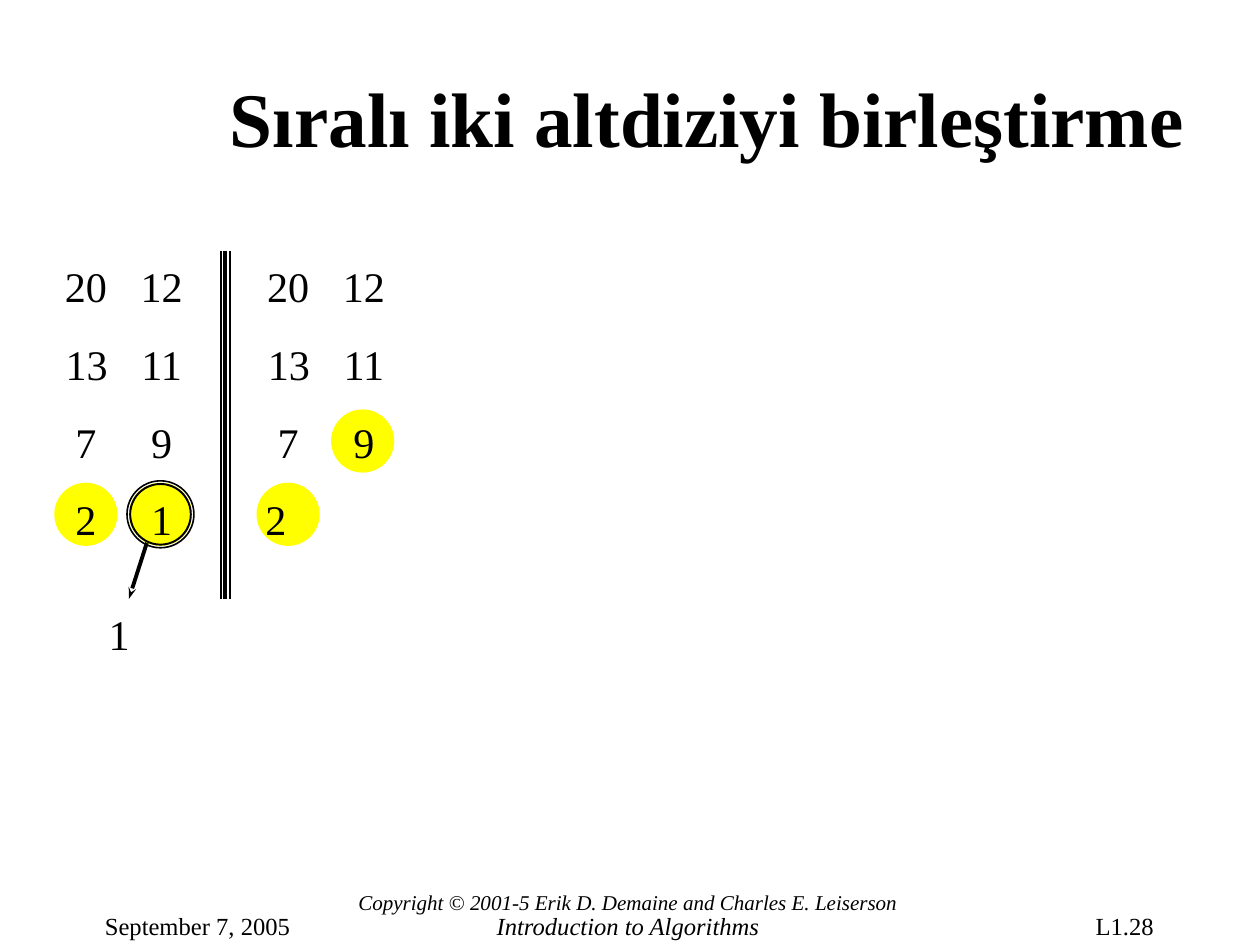
from lxml import etree
from pptx import Presentation
from pptx.dml.color import RGBColor
from pptx.enum.shapes import MSO_CONNECTOR, MSO_SHAPE
from pptx.enum.text import PP_ALIGN
from pptx.oxml.ns import qn
from pptx.util import Inches, Pt

COLORS = {"ink": "000000", "mark": "FFFF00"}
FONT = "Times New Roman"
TITLE = "Sıralı iki altdiziyi birleştirme"
COPYRIGHT = "Copyright © 2001-5 Erik D. Demaine and Charles E. Leiserson"
COURSE = "Introduction to Algorithms"
DATE = "September 7, 2005"
PAGE_NUMBER = "L1.28"
OUTPUT = "1"
PILES = [
    (0.5, ["20\t12", "13\t11", "7\t9", "2\t1"]),
    (2.1, ["20\t12", "13\t11", "7\t9", "2"]),
]
PILE_TOP, PILE_WIDTH, PILE_HEIGHT = 2.02, 0.96, 2.21
COLUMN_GAP, ROW_SPACE = 0.6, 15.5
MARKS = [(0.68, 4.07), (1.27, 4.07), (2.87, 3.49), (2.28, 4.07)]
MARK_SIZE = 0.5
RINGS = [(0.53, 0.9), (0.48, 1.1)]
BARS = [(1.75, 1.13), (1.78, 2.07), (1.82, 1.05)]
BAR_TOP, BAR_BOTTOM = 1.99, 4.74
ARROW = (1.18, 4.24, 1.02, 4.74)

deck = Presentation()
deck.slide_width, deck.slide_height = Inches(9.97), Inches(7.47)
page = deck.slides.add_slide(deck.slide_layouts[6])


def color(name):
    return RGBColor.from_string(COLORS[name])


def add_text(left, top, width, height, lines, size, align=PP_ALIGN.LEFT,
             inset_left=0.01, inset_top=0.01, bold=False, italic=False):
    box = page.shapes.add_textbox(*map(Inches, (left, top, width, height)))
    frame = box.text_frame
    frame.word_wrap = True
    frame.margin_right = frame.margin_bottom = 0
    frame.margin_left, frame.margin_top = Inches(inset_left), Inches(inset_top)
    for index, line in enumerate(lines):
        para = frame.paragraphs[0] if index == 0 else frame.add_paragraph()
        para.text = line
        para.alignment = align
        if "\t" in line:
            tabs = etree.SubElement(para._p.get_or_add_pPr(), qn("a:tabLst"))
            etree.SubElement(tabs, qn("a:tab"), pos=str(Inches(COLUMN_GAP)), algn="l")
        font = para.font
        font.name, font.size = FONT, Pt(size)
        font.bold, font.italic = bold, italic
        font.color.rgb = color("ink")
    return frame.paragraphs


def add_circle(center, size):
    x, y = center
    circle = page.shapes.add_shape(
        MSO_SHAPE.OVAL, Inches(x - size / 2), Inches(y - size / 2),
        Inches(size), Inches(size))
    circle.shadow.inherit = False
    return circle


def add_line(x1, y1, x2, y2, weight):
    line = page.shapes.add_connector(
        MSO_CONNECTOR.STRAIGHT, *map(Inches, (x1, y1, x2, y2)))
    line.line.color.rgb = color("ink")
    line.line.width = Pt(weight)
    etree.SubElement(line._element.spPr, qn("a:effectLst"))
    return line


for x, weight in BARS:
    add_line(x, BAR_TOP, x, BAR_BOTTOM, weight)

arrow = add_line(*ARROW, 2.2)
etree.SubElement(arrow.line._get_or_add_ln(), qn("a:tailEnd"),
                 type="stealth", w="sm", len="med")

for center in MARKS:
    mark = add_circle(center, MARK_SIZE)
    mark.fill.solid()
    mark.fill.fore_color.rgb = color("mark")
    mark.line.fill.background()

for size, weight in RINGS:
    ring = add_circle(MARKS[1], size)
    ring.fill.background()
    ring.line.color.rgb = color("ink")
    ring.line.width = Pt(weight)

for left, rows in PILES:
    paras = add_text(left, PILE_TOP, PILE_WIDTH, PILE_HEIGHT, rows, 24,
                     PP_ALIGN.CENTER, inset_left=0, inset_top=0.04)
    for para in paras[1:]:
        para.space_before = Pt(ROW_SPACE)
    if "\t" not in rows[-1]:
        paras[-1].alignment = PP_ALIGN.LEFT

add_text(0.85, 4.77, 0.19, 0.41, [OUTPUT], 24, inset_top=0.04)
add_text(0.65, 0.49, 9.1, 0.74, [TITLE], 44, PP_ALIGN.CENTER,
         inset_left=0.8, inset_top=0.07, bold=True)
add_text(0.82, 7.2, 1.49, 0.25, [DATE], 14)
add_text(8.66, 7.2, 0.5, 0.25, [PAGE_NUMBER], 14)
course = add_text(2.82, 7.03, 4.3, 0.41, [COPYRIGHT, COURSE], 12,
                  PP_ALIGN.CENTER, inset_left=0, italic=True)[1]
course.font.size = Pt(14)
course.line_spacing = Pt(14.5)

deck.save("out.pptx")
